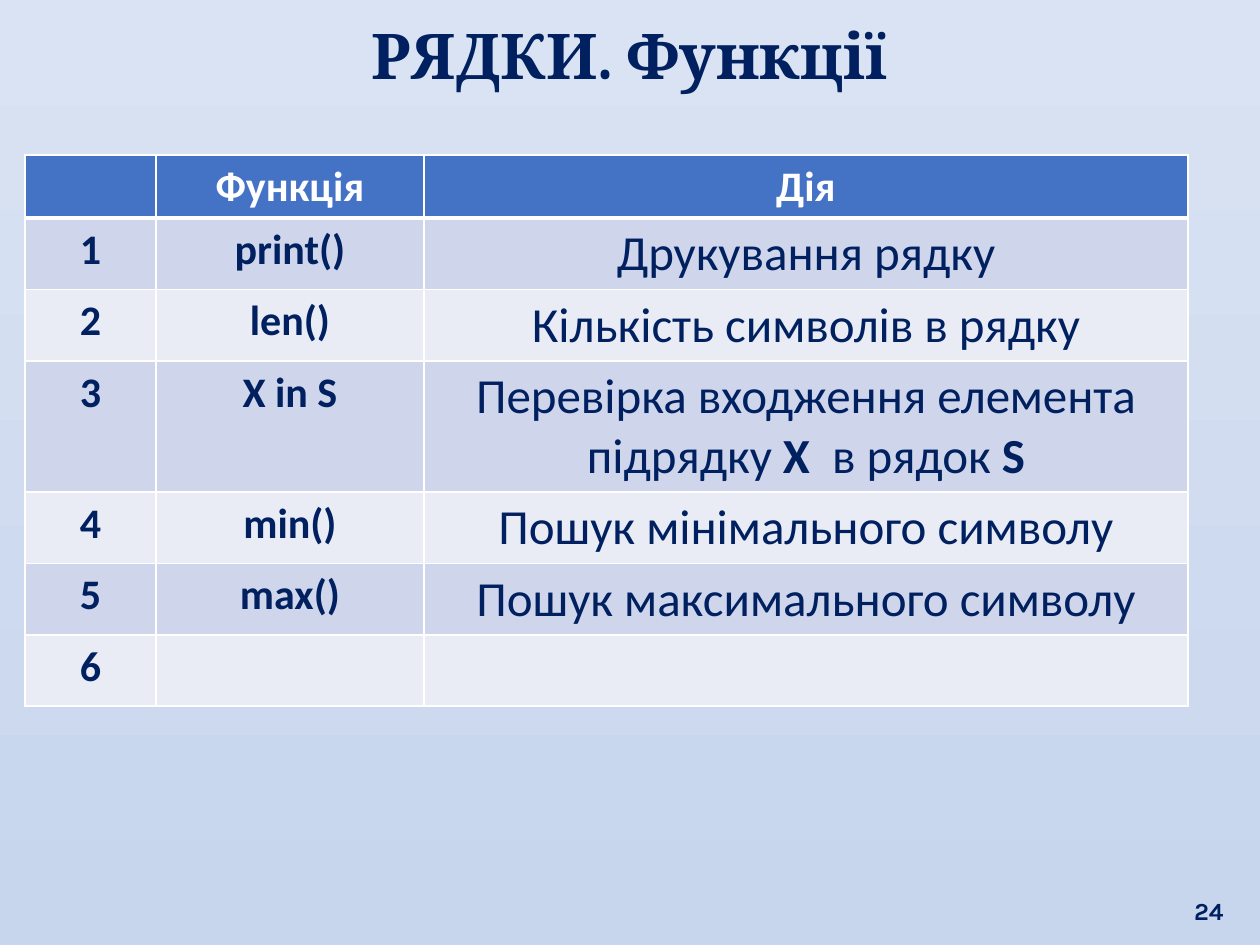
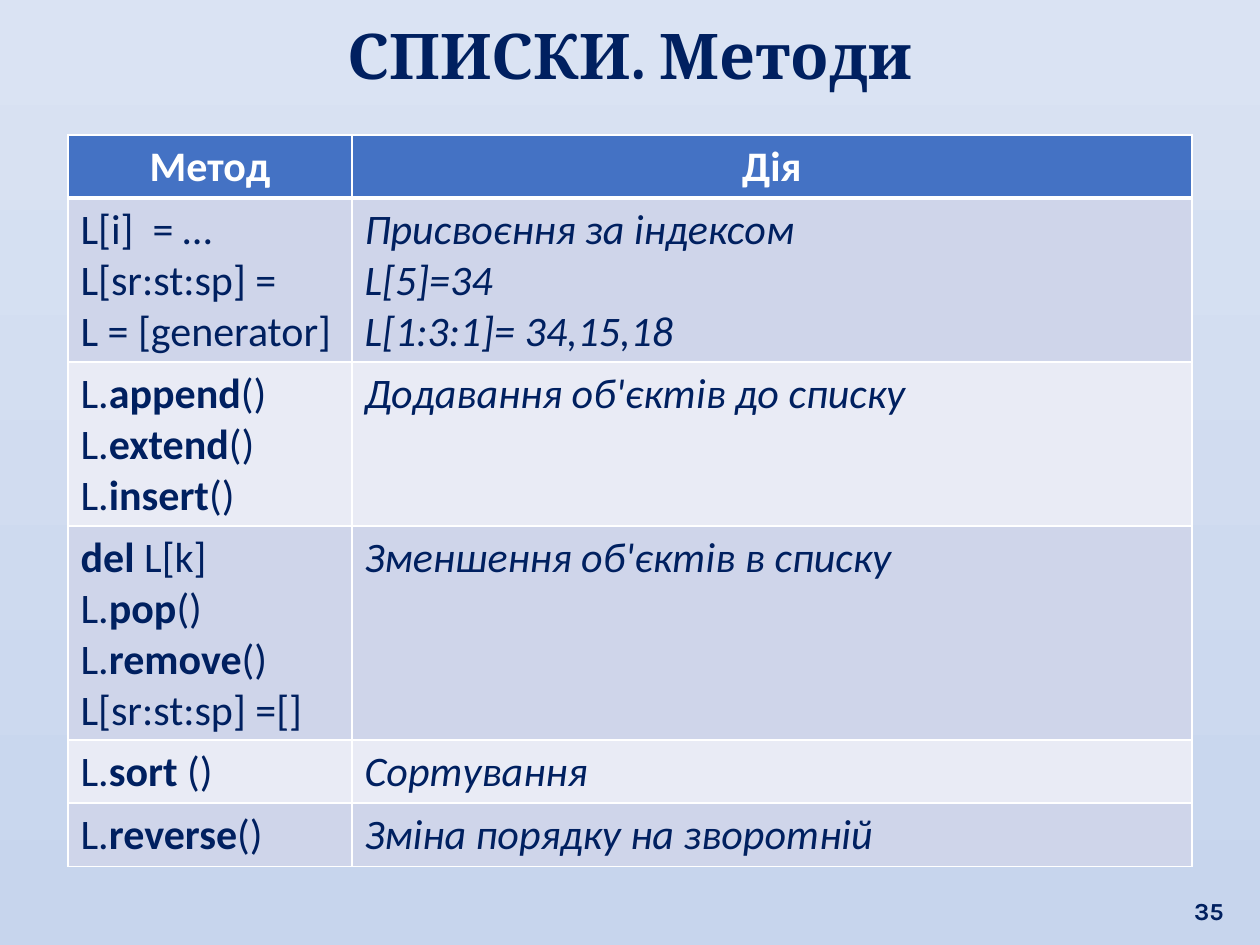
from dataclasses import dataclass

from lxml import etree
from pptx import Presentation
from pptx.dml.color import RGBColor
from pptx.enum.text import MSO_ANCHOR, PP_ALIGN
from pptx.oxml.ns import qn
from pptx.util import Emu, Pt

CENTER, LEFT, RIGHT = PP_ALIGN.CENTER, PP_ALIGN.LEFT, PP_ALIGN.RIGHT
TOP, BOTTOM = MSO_ANCHOR.TOP, MSO_ANCHOR.BOTTOM
EMU_PER_PX = 914400 // 126

NAVY = RGBColor(0x00, 0x20, 0x60)
WHITE = RGBColor(0xFF, 0xFF, 0xFF)
HEADER_BLUE = RGBColor(0x44, 0x72, 0xC4)
BANDS = (RGBColor(0xCF, 0xD5, 0xEA), RGBColor(0xE9, 0xEB, 0xF5))
BACKGROUND = (RGBColor(0xDA, 0xE3, 0xF3), RGBColor(0xC7, 0xD5, 0xED))
THIN, THICK = Pt(1), Pt(3)


@dataclass(frozen=True)
class TextStyle:
    size: int
    font: str = "Calibri"
    color: RGBColor = NAVY
    bold: bool = False
    italic: bool = False
    align: PP_ALIGN = LEFT


TITLE = TextStyle(36, "Cambria", bold=True, align=CENTER)
PAGE_NUMBER = TextStyle(14, "Karla", bold=True, align=RIGHT)
HEADER = TextStyle(24, color=WHITE, bold=True, align=CENTER)
KEY = TextStyle(24, bold=True, align=CENTER)
ACTION = TextStyle(28, align=CENTER)
CODE = TextStyle(24)
REMARK = TextStyle(24, italic=True)


@dataclass(frozen=True)
class Column:
    heading: str
    width: int
    style: TextStyle


@dataclass(frozen=True)
class Page:
    title: str
    number: int
    left: int
    top: int
    columns: tuple[Column, ...]
    row_heights: tuple[int, ...]
    rows: tuple[tuple[str, ...], ...]


PAGES = (
    Page(
        "РЯДКИ. Функції", 24, 25, 155,
        (Column("", 131, KEY), Column("Функція", 268, KEY), Column("Дія", 764, ACTION)),
        (63, 71, 71, 131, 71, 71, 71),
        (
            ("1", "print()", "Друкування рядку"),
            ("2", "len()", "Кількість символів в рядку"),
            ("3", "X in S", "Перевірка входження елемента підрядку *X*  в рядок *S*"),
            ("4", "min()", "Пошук мінімального символу"),
            ("5", "max()", "Пошук максимального символу"),
            ("6", "", ""),
        ),
    ),
    Page(
        "СПИСКИ. Методи", 35, 68, 135,
        (Column("Метод", 284, CODE), Column("Дія", 840, REMARK)),
        (63, 164, 164, 214, 63, 63),
        (
            ("L[i]  = …\nL[sr:st:sp] =\nL = [generator]",
             "Присвоєння за індексом\nL[5]=34\nL[1:3:1]= 34,15,18"),
            ("L.*append*()\nL.*extend*()\nL.*insert*()", "Додавання об'єктів до списку"),
            ("*del* L[k]\nL.*pop*()\nL.*remove*()\nL[sr:st:sp] =[]",
             "Зменшення об'єктів в списку"),
            ("L.*sort* ()", "Сортування"),
            ("L.*reverse*()", "Зміна порядку на зворотній"),
        ),
    ),
)


def px(length: int) -> Emu:
    return Emu(length * EMU_PER_PX)


def write_text(frame, text: str, style: TextStyle) -> None:
    """Write one paragraph per line; parts between asterisks become bold."""
    for index, line in enumerate(text.split("\n")):
        paragraph = frame.add_paragraph() if index else frame.paragraphs[0]
        paragraph.alignment = style.align
        for position, part in enumerate(line.split("*")):
            if not part:
                continue
            run = paragraph.add_run()
            run.text = part
            run.font.name = style.font
            run.font.size = Pt(style.size)
            run.font.bold = style.bold or position % 2 == 1
            run.font.italic = style.italic
            run.font.color.rgb = style.color


def add_text(slide, left: int, top: int, width: int, height: int,
             text: str, style: TextStyle, anchor: MSO_ANCHOR = TOP) -> None:
    box = slide.shapes.add_textbox(px(left), px(top), px(width), px(height))
    box.text_frame.word_wrap = True
    box.text_frame.vertical_anchor = anchor
    write_text(box.text_frame, text, style)


def set_borders(cell, top: int, bottom: int) -> None:
    properties = cell._tc.get_or_add_tcPr()
    for side, width in (("L", THIN), ("R", THIN), ("T", top), ("B", bottom)):
        line = etree.SubElement(properties, qn(f"a:ln{side}"), w=str(width))
        fill = etree.SubElement(line, qn("a:solidFill"))
        etree.SubElement(fill, qn("a:srgbClr"), val=str(WHITE))


def add_page_table(slide, page: Page) -> None:
    headings = tuple(column.heading for column in page.columns)
    rows = (headings, *page.rows)
    width = sum(column.width for column in page.columns)
    table = slide.shapes.add_table(
        len(rows), len(headings), px(page.left), px(page.top),
        px(width), px(sum(page.row_heights))).table
    for index, column in enumerate(page.columns):
        table.columns[index].width = px(column.width)
    for row_index, (texts, height) in enumerate(zip(rows, page.row_heights)):
        table.rows[row_index].height = px(height)
        is_header = row_index == 0
        for column_index, text in enumerate(texts):
            cell = table.cell(row_index, column_index)
            set_borders(cell, top=THICK if row_index == 1 else THIN,
                        bottom=THICK if is_header else THIN)
            cell.fill.solid()
            cell.fill.fore_color.rgb = HEADER_BLUE if is_header else BANDS[(row_index - 1) % 2]
            style = HEADER if is_header else page.columns[column_index].style
            write_text(cell.text_frame, text, style)


def set_background(master) -> None:
    fill = master.background.fill
    fill.gradient()
    fill.gradient_angle = 270
    for stop, color in zip(fill.gradient_stops, BACKGROUND):
        stop.color.rgb = color


def main() -> None:
    deck = Presentation()
    deck.slide_width, deck.slide_height = px(1260), px(945)
    set_background(deck.slide_master)
    for page in PAGES:
        slide = deck.slides.add_slide(deck.slide_layouts[6])
        add_text(slide, 15, 10, 1230, 89, page.title, TITLE)
        add_text(slide, 1176, 869, 60, 63, str(page.number), PAGE_NUMBER, BOTTOM)
        add_page_table(slide, page)
    deck.save("out.pptx")


if __name__ == "__main__":
    main()
